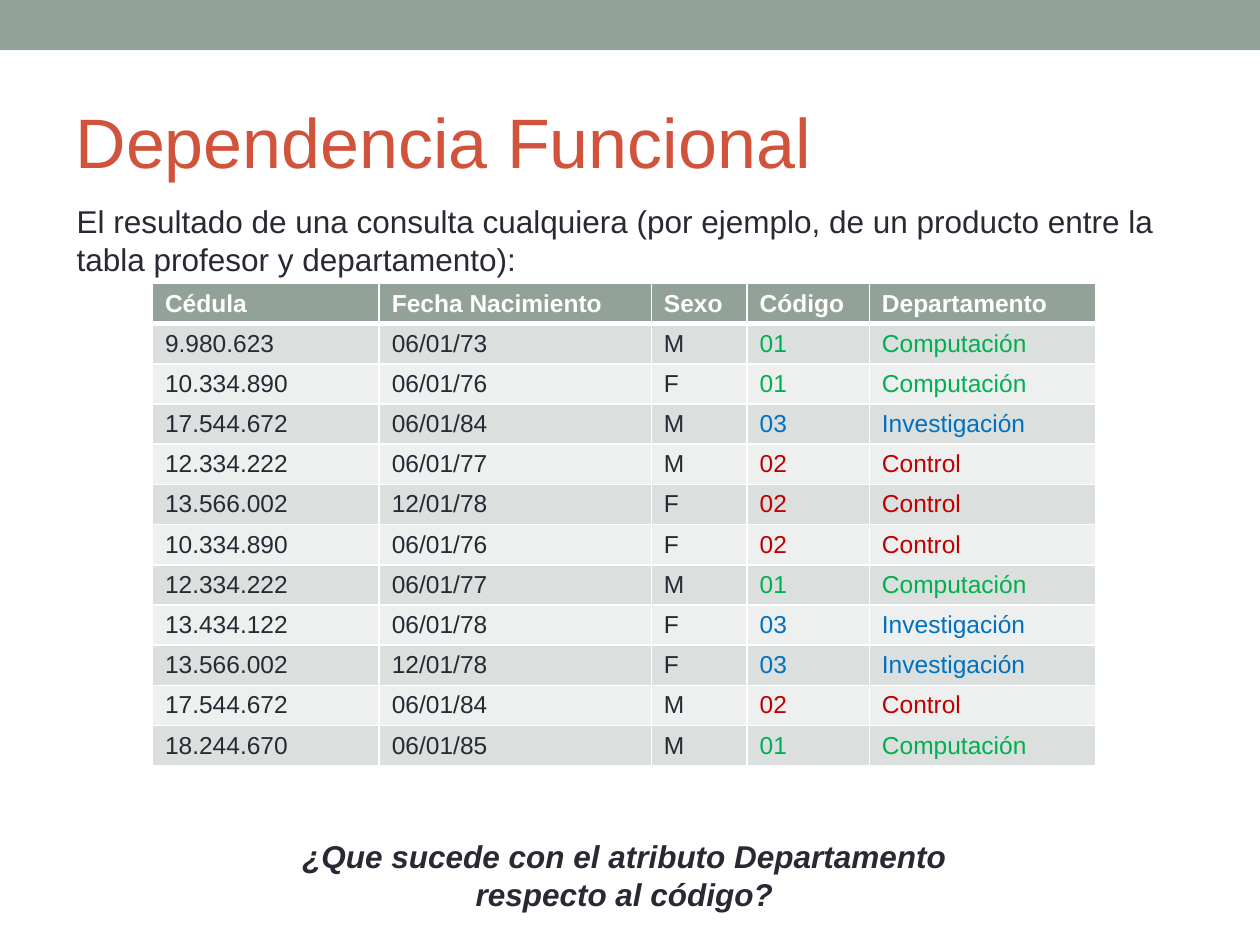
from typing import NamedTuple

from lxml.etree import SubElement as Sub
from pptx import Presentation
from pptx.dml.color import RGBColor as Rgb
from pptx.enum.shapes import MSO_SHAPE as Shape
from pptx.enum.text import MSO_ANCHOR as Anchor, MSO_AUTO_SIZE as Fit, PP_ALIGN as Align
from pptx.oxml.ns import qn
from pptx.util import Inches, Pt

WIDE, HIGH = Inches(10), Inches(7.5)
ROW = Inches(0.29)
COLS = (0.18, 0.216, 0.076, 0.097, 0.18)
FONT = "Arial"
HUES = {
    "sage": "93A299", "title": "D2533C", "ink": "292934", "white": "FFFFFF",
    "odd": "DBDFDD", "even": "EEF0EF",
    "01": "00B050", "02": "C00000", "03": "0070C0",
}
UNITS = {"01": "Computación", "02": "Control", "03": "Investigación"}
HEADS = ("Cédula", "Fecha Nacimiento", "Sexo", "Código", "Departamento")


class Box(NamedTuple):
    x: float
    y: float
    w: float
    h: float

    def place(self) -> tuple:
        return (int(self.x * WIDE), int(self.y * HIGH),
                int(self.w * WIDE), int(self.h * HIGH))


class Look(NamedTuple):
    size: int
    hue: str
    bold: bool = False
    slant: bool = False
    align: Align = Align.LEFT


class Note(NamedTuple):
    box: Box
    text: str
    look: Look


class Staff(NamedTuple):
    card: str
    born: str
    sex: str
    code: str


STAFF = (
    Staff("9.980.623", "06/01/73", "M", "01"),
    Staff("10.334.890", "06/01/76", "F", "01"),
    Staff("17.544.672", "06/01/84", "M", "03"),
    Staff("12.334.222", "06/01/77", "M", "02"),
    Staff("13.566.002", "12/01/78", "F", "02"),
    Staff("10.334.890", "06/01/76", "F", "02"),
    Staff("12.334.222", "06/01/77", "M", "01"),
    Staff("13.434.122", "06/01/78", "F", "03"),
    Staff("13.566.002", "12/01/78", "F", "03"),
    Staff("17.544.672", "06/01/84", "M", "02"),
    Staff("18.244.670", "06/01/85", "M", "01"),
)
NOTES = (
    Note(Box(0.051, 0.207, 0.898, 0.095),
         "El resultado de una consulta cualquiera (por ejemplo, de un producto "
         "entre la tabla profesor y departamento):", Look(18, "ink")),
    Note(Box(0.209, 0.879, 0.573, 0.095),
         "¿Que sucede con el atributo Departamento respecto al código?",
         Look(18, "ink", True, True, Align.CENTER)),
)


def tint(hue: str) -> Rgb:
    return Rgb.from_string(HUES[hue])


def write(frame, text: str, look: Look) -> None:
    frame.text = text
    para = frame.paragraphs[0]
    para.alignment = look.align
    font = para.runs[0].font
    font.name, font.size = FONT, Pt(look.size)
    font.bold, font.italic = look.bold, look.slant
    font.color.rgb = tint(look.hue)


def edge(cell, side: str, width: int) -> None:
    line = Sub(cell._tc.get_or_add_tcPr(), qn(f"a:ln{side}"), w=str(Pt(width)))
    fill = Sub(line, qn("a:solidFill"))
    Sub(fill, qn("a:srgbClr"), val=HUES["white"])


def draw_cell(cell, text: str, look: Look, fill: str, top: int, base: int) -> None:
    write(cell.text_frame, text, look)
    for side, width in zip("LRTB", (1, 1, top, base)):
        edge(cell, side, width)
    cell.fill.solid()
    cell.fill.fore_color.rgb = tint(fill)


def draw_table(slide, x: float, y: float) -> None:
    count = len(STAFF) + 1
    box = Box(x, y, sum(COLS), count * ROW / HIGH)
    table = slide.shapes.add_table(count, len(COLS), *box.place()).table
    for col, share in zip(table.columns, COLS):
        col.width = int(share * WIDE)
    for c, head in enumerate(HEADS):
        draw_cell(table.cell(0, c), head, Look(14, "white", True), "sage", 1, 3)
    for r, staff in enumerate(STAFF, 1):
        band = "odd" if r % 2 else "even"
        for c, text in enumerate((*staff, UNITS[staff.code])):
            hue = staff.code if c > 2 else "ink"
            draw_cell(table.cell(r, c), text, Look(14, hue), band, 3 if r == 1 else 1, 1)


def draw_bar(slide, box: Box) -> None:
    bar = slide.shapes.add_shape(Shape.RECTANGLE, *box.place())
    bar.shadow.inherit = False
    bar.fill.solid()
    bar.fill.fore_color.rgb = tint("sage")
    bar.line.fill.background()


def draw_title(slide, box: Box, text: str) -> None:
    title = slide.shapes.title
    title.left, title.top, title.width, title.height = box.place()
    frame = title.text_frame
    write(frame, text, Look(40, "title"))
    frame.auto_size = Fit.NONE
    frame.vertical_anchor = Anchor.MIDDLE


def draw_note(slide, note: Note) -> None:
    frame = slide.shapes.add_textbox(*note.box.place()).text_frame
    frame.word_wrap = True
    write(frame, note.text, note.look)


def main() -> None:
    deck = Presentation()
    deck.slide_width, deck.slide_height = WIDE, HIGH
    slide = deck.slides.add_slide(deck.slide_layouts[5])
    draw_bar(slide, Box(0, 0, 1, 0.053))
    draw_title(slide, Box(0.05, 0.077, 0.9, 0.144), "Dependencia Funcional")
    draw_table(slide, 0.121, 0.3)
    for note in NOTES:
        draw_note(slide, note)
    deck.save("out.pptx")


if __name__ == "__main__":
    main()
